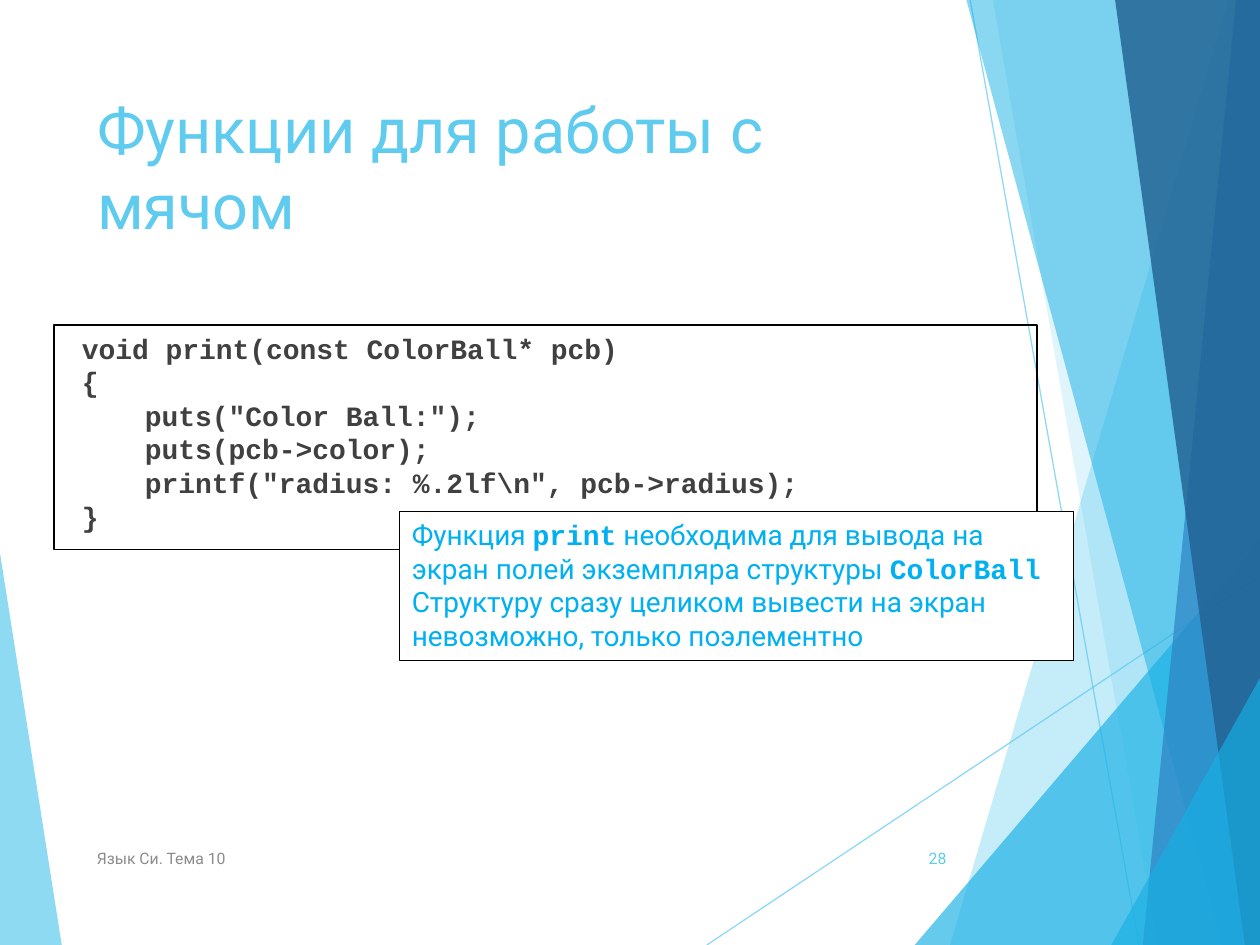
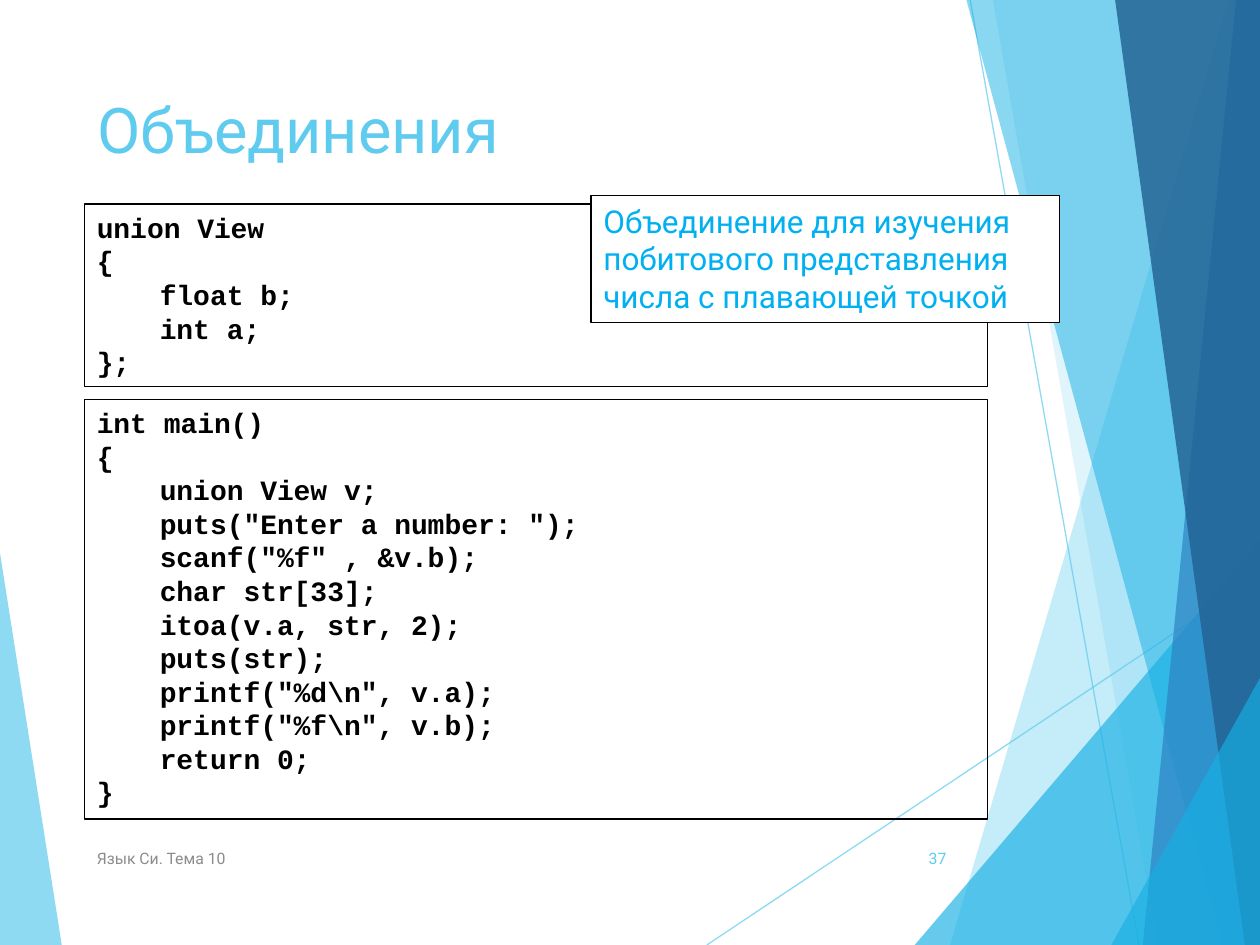
"""Build two slides about structures and unions in C."""
from dataclasses import dataclass
from typing import NamedTuple

from lxml.etree import SubElement as Sub
from pptx import Presentation
from pptx.dml.color import RGBColor as Rgb
from pptx.enum.shapes import MSO_CONNECTOR as Link, MSO_SHAPE as Kind
from pptx.enum.text import MSO_ANCHOR as Anchor, MSO_AUTO_SIZE as Fit, PP_ALIGN as Align
from pptx.oxml.ns import qn
from pptx.shapes.base import BaseShape as Base
from pptx.slide import Slide
from pptx.text.text import Font, TextFrame as Frame
from pptx.util import Pt

PX = 9144


class Type(NamedTuple):
    """A text style."""
    face: str
    size: int
    color: str
    bold: bool = False


@dataclass(frozen=True)
class Theme:
    """Colours and type styles shared by all slides."""
    sky: str = "5FCBEF"
    aqua: str = "17B0E4"
    blue: str = "2E83C3"
    navy: str = "226292"
    ink: str = "000000"
    paper: str = "FFFFFF"
    title: Type = Type("Roboto", 36, "5FCBEF")
    foot: Type = Type("Roboto", 9, "8C8C8C")
    page: Type = Type("Roboto", 9, "5FCBEF")
    note: Type = Type("Roboto", 16, "00B0F0")
    large: Type = Type("Roboto", 18, "00B0F0")
    code: Type = Type("Courier New", 16, "000000", True)
    gray: Type = Type("Courier New", 16, "404040", True)
    hair: float = 0.75
    lead: float = 19.2


THEME = Theme()


class Rect(NamedTuple):
    """A place on the slide in px."""
    x: int
    y: int
    w: int
    h: int

    def emu(self) -> list[int]:
        """Return the four lengths in EMU."""
        return [v * PX for v in self]


class Band(NamedTuple):
    """A translucent polygon at the slide's edge."""
    color: str
    alpha: int
    pts: list[tuple[int, int]]


class Ray(NamedTuple):
    """A thin straight line across the slide."""
    x1: int
    y1: int
    x2: int
    y2: int


class Box(NamedTuple):
    """A framed text; backticks mark code words."""
    rect: Rect
    style: Type
    text: str
    fill: str | None = None
    pad: int = 10


class Page(NamedTuple):
    """The content of one slide."""
    title: str
    number: int
    boxes: list[Box]


HEAD = Rect(67, 67, 694, 144)
FOOT = Rect(67, 661, 506, 40)
NUM = Rect(705, 661, 56, 40)
LEFT = Band(THEME.sky, 70, [(0, 439), (49, 750), (0, 750)])
RAYS = [Ray(561, 750, 1000, 457), Ray(770, 0, 904, 750)]
BANDS = [
    Band(THEME.sky, 36, [(975, 0), (754, 750), (1000, 750), (1000, 0)]),
    Band(THEME.sky, 20, [(788, 0), (919, 750), (1000, 750), (1000, 0)]),
    Band(THEME.aqua, 66, [(726, 750), (1000, 429), (1000, 750)]),
    Band(THEME.aqua, 50, [(767, 0), (970, 750), (1000, 750), (1000, 0)]),
    Band(THEME.blue, 70, [(981, 0), (907, 750), (1000, 750), (1000, 0)]),
    Band(THEME.navy, 82, [(885, 0), (988, 750), (1000, 750), (1000, 0)]),
    Band(THEME.aqua, 66, [(882, 750), (1000, 538), (1000, 750)]),
]

PRINT = """void print(const ColorBall* pcb)
{
\tputs("Color Ball:");
\tputs(pcb->color);
\tprintf("radius: %.2lf\\n", pcb->radius);
}"""
HINT = """Функция `print` необходима для вывода на экран полей экземпляра структуры `ColorBall`
Структуру сразу целиком вывести на экран невозможно, только поэлементно"""
UNION = """union View
{
\tfloat b;
\tint a;
};"""
MAIN = """int main()
{
\tunion View v;
\tputs("Enter a number: ");
\tscanf("%f" , &v.b);
\tchar str[33];
\titoa(v.a, str, 2);
\tputs(str);
\tprintf("%d\\n", v.a);
\tprintf("%f\\n", v.b);
\treturn 0;
}"""
GOAL = "Объединение для изучения побитового представления числа с плавающей точкой"

PAGES = [
    Page("Функции для работы с мячом", 28, [
        Box(Rect(43, 258, 780, 178), THEME.gray, PRINT, pad=22),
        Box(Rect(317, 406, 535, 118), THEME.note, HINT, THEME.paper),
    ]),
    Page("Объединения", 37, [
        Box(Rect(67, 162, 717, 145), THEME.code, UNION),
        Box(Rect(67, 317, 717, 333), THEME.code, MAIN),
        Box(Rect(469, 155, 372, 101), THEME.large, GOAL, THEME.paper),
    ]),
]


def style(font: Font, kind: Type) -> None:
    """Apply a text style to a font."""
    font.name, font.size, font.bold = kind.face, Pt(kind.size), kind.bold
    font.color.rgb = Rgb.from_string(kind.color)


def fade(shape: Base, alpha: int) -> None:
    """Make the shape's own colours translucent."""
    for clr in shape.element.iter(qn("a:srgbClr")):
        Sub(clr, qn("a:alpha"), val=str(alpha * 1000))


def write(frame: Frame, text: str, kind: Type, anchor: Anchor = Anchor.TOP,
          align: Align = Align.LEFT) -> None:
    """Fill a frame with one paragraph per line of text."""
    frame.word_wrap, frame.auto_size = True, Fit.NONE
    frame.vertical_anchor = anchor
    for i, line in enumerate(text.split("\n")):
        para = frame.add_paragraph() if i else frame.paragraphs[0]
        para.alignment = align
        style(para.font, kind)
        if kind.face == THEME.code.face:
            para.line_spacing = Pt(THEME.lead)
        for j, part in enumerate(line.split("`")):
            if part:
                run = para.add_run()
                run.text = part
                if j % 2:
                    run.font.name, run.font.bold = THEME.code.face, True


def draw_band(slide: Slide, band: Band) -> None:
    """Draw one translucent polygon."""
    pen = slide.shapes.build_freeform(*band.pts[0], scale=PX)
    pen.add_line_segments(band.pts[1:], close=True)
    shape = pen.convert_to_shape()
    shape.shadow.inherit = False
    shape.fill.solid()
    shape.fill.fore_color.rgb = Rgb.from_string(band.color)
    shape.line.fill.background()
    fade(shape, band.alpha)


def draw_ray(slide: Slide, ray: Ray) -> None:
    """Draw one thin line."""
    line = slide.shapes.add_connector(Link.STRAIGHT, *[v * PX for v in ray])
    line.line.width = Pt(THEME.hair)
    line.line.color.rgb = Rgb.from_string(THEME.sky)
    Sub(line.element.spPr, qn("a:effectLst"))
    fade(line, 70)


def draw_box(slide: Slide, box: Box) -> None:
    """Draw one framed text."""
    shape = slide.shapes.add_shape(Kind.RECTANGLE, *box.rect.emu())
    shape.shadow.inherit = False
    if box.fill:
        shape.fill.solid()
        shape.fill.fore_color.rgb = Rgb.from_string(box.fill)
    else:
        shape.fill.background()
    shape.line.width = Pt(THEME.hair)
    shape.line.color.rgb = Rgb.from_string(THEME.ink)
    shape.text_frame.margin_left = box.pad * PX
    write(shape.text_frame, box.text, box.style)


def draw_foot(slide: Slide, rect: Rect, text: str, kind: Type, align: Align) -> None:
    """Draw one footer text."""
    frame = slide.shapes.add_textbox(*rect.emu()).text_frame
    write(frame, text, kind, Anchor.MIDDLE, align)


def draw_page(slide: Slide, page: Page) -> None:
    """Draw a whole slide."""
    draw_band(slide, LEFT)
    for ray in RAYS:
        draw_ray(slide, ray)
    for band in BANDS:
        draw_band(slide, band)
    head = slide.shapes.title
    head.left, head.top, head.width, head.height = HEAD.emu()
    write(head.text_frame, page.title, THEME.title)
    draw_foot(slide, FOOT, "Язык Си. Тема 10", THEME.foot, Align.LEFT)
    draw_foot(slide, NUM, str(page.number), THEME.page, Align.RIGHT)
    for box in page.boxes:
        draw_box(slide, box)


def main() -> None:
    """Build and save the slides."""
    deck = Presentation()
    deck.slide_width, deck.slide_height = 1000 * PX, 750 * PX
    for page in PAGES:
        draw_page(deck.slides.add_slide(deck.slide_layouts[5]), page)
    deck.save("out.pptx")


if __name__ == "__main__":
    main()
